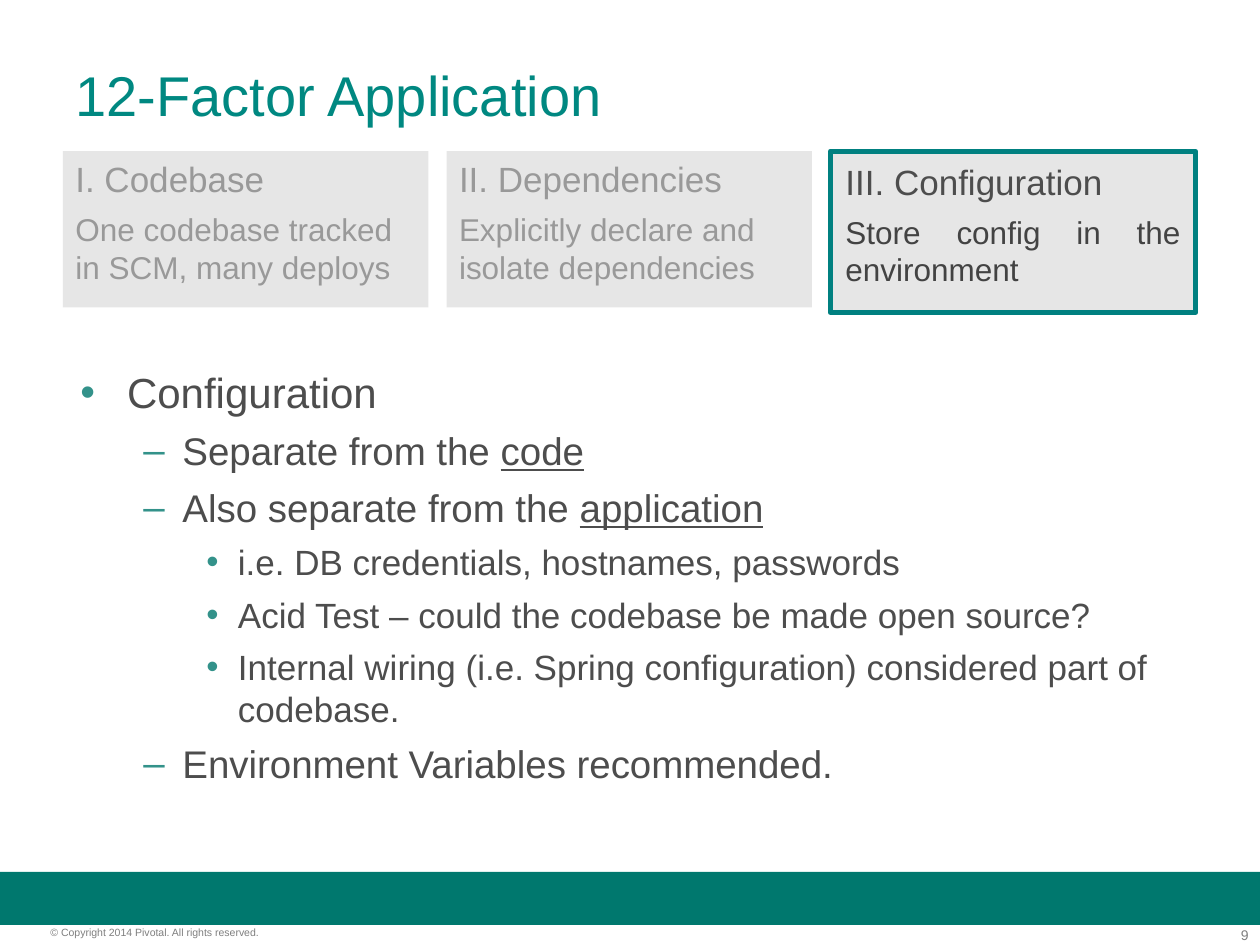
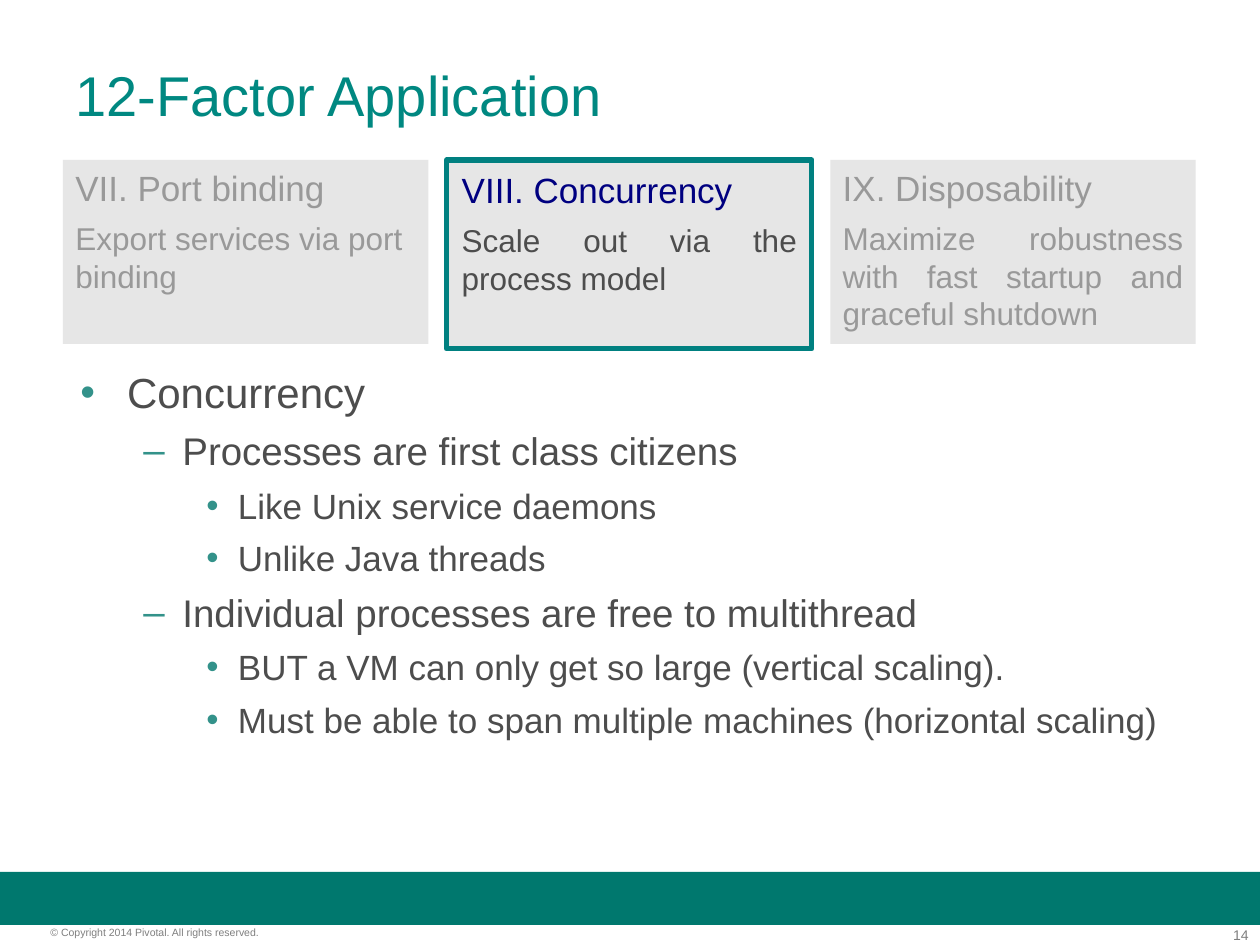
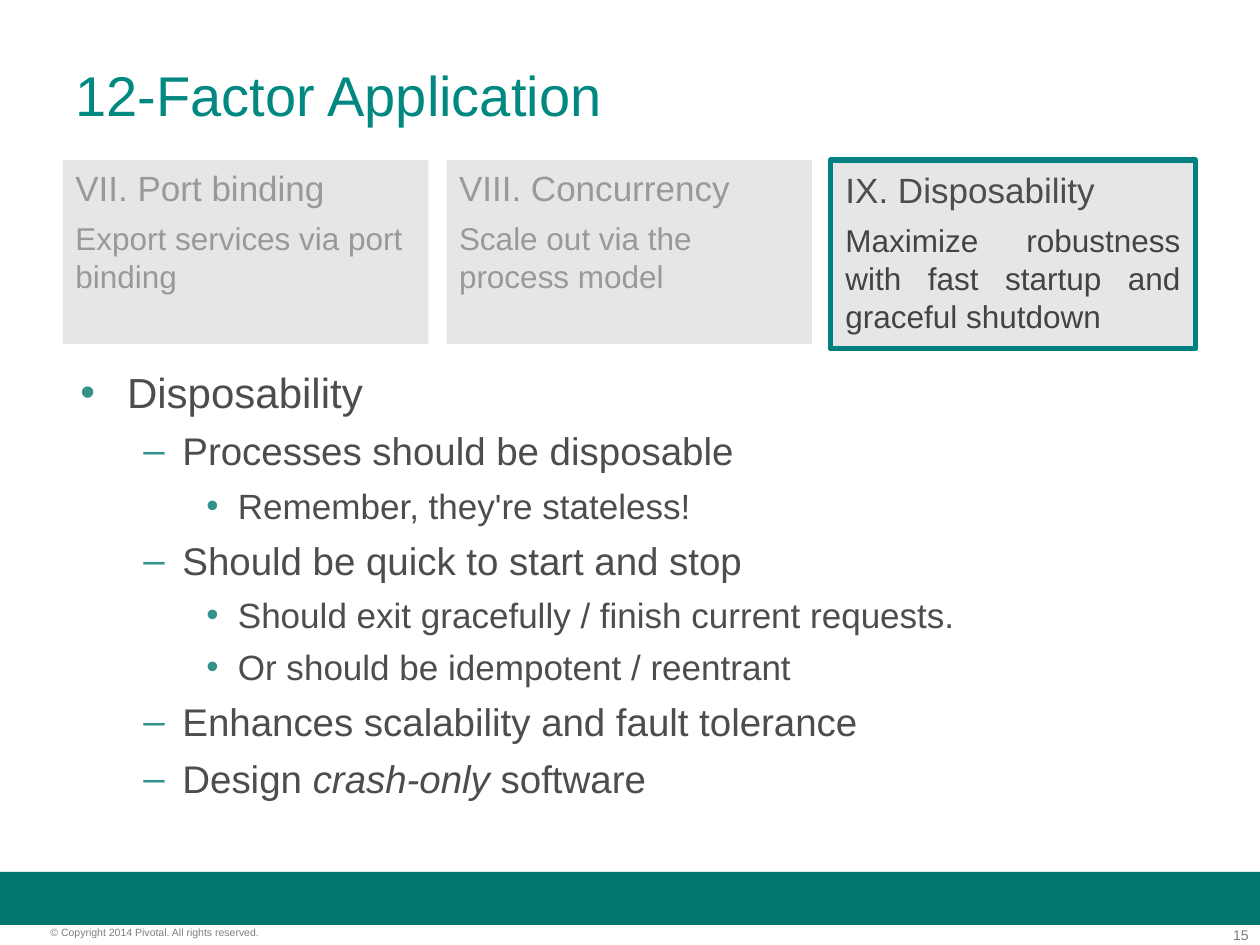
"""Build three slides on the factors of a 12-factor application."""
import dataclasses

import lxml.etree
import pptx
import pptx.dml.color
import pptx.enum.shapes
import pptx.enum.text
import pptx.oxml.ns
import pptx.util

Inches = pptx.util.Inches
Pt = pptx.util.Pt
ALIGN = pptx.enum.text.PP_ALIGN
RECTANGLE = pptx.enum.shapes.MSO_SHAPE.RECTANGLE


@dataclasses.dataclass(frozen=True)
class Theme:
    font: str = "Arial"
    title: str = "008881"
    band: str = "00786E"
    bullet: str = "33928A"
    text: str = "4D4D4D"
    strong: str = "434343"
    navy: str = "000080"
    muted: str = "999999"
    footer: str = "7F7F7F"
    card: str = "E6E6E6"
    border: str = "008080"
    title_size: float = 32
    card_sizes: tuple = (20, 18)
    level_sizes: tuple = (24, 22, 20)
    number_size: float = 8
    copyright_size: float = 6
    border_width: float = 2.89
    space_before: float = 6


THEME = Theme()
LEVELS = [("•", 0.37, 0.37), ("–", 0.81, 0.31), ("•", 1.25, 0.25)]
CARD_LEFT, LAST_CARD_LEFT, CARD_WIDTH = 0.5, 6.59, 2.9
CARD_PITCH = (LAST_CARD_LEFT - CARD_LEFT) / 2
BORDER_PAD = 0.02

PORT_BINDING = ("VII. Port binding", "Export services via port binding", ALIGN.LEFT)
CONCURRENCY = ("VIII. Concurrency", "Scale out via the process model")
DISPOSABILITY = (
    "IX. Disposability",
    "Maximize robustness with fast startup and graceful shutdown",
    ALIGN.JUSTIFY,
)

FACTOR_SLIDES = [
    {
        "number": "9",
        "card_top": 1.2,
        "card_height": 1.24,
        "cards": [
            ("I. Codebase", "One codebase tracked in SCM, many deploys", ALIGN.LEFT),
            ("II. Dependencies", "Explicitly declare and isolate dependencies", ALIGN.LEFT),
            ("III. Configuration", "Store config in the environment", ALIGN.JUSTIFY),
        ],
        "current": 2,
        "current_colors": (THEME.text, THEME.strong),
        "body_height": 3.43,
        "emphasis": "underline",
        "points": [
            (0, "Configuration"),
            (1, "Separate from the ", "code"),
            (1, "Also separate from the ", "application"),
            (2, "i.e. DB credentials, hostnames, passwords"),
            (2, "Acid Test – could the codebase be made open source?"),
            (2, "Internal wiring (i.e. Spring configuration) considered part of codebase."),
            (1, "Environment Variables recommended."),
        ],
    },
    {
        "number": "14",
        "card_top": 1.27,
        "card_height": 1.46,
        "cards": [PORT_BINDING, (*CONCURRENCY, ALIGN.JUSTIFY), DISPOSABILITY],
        "current": 1,
        "current_colors": (THEME.navy, THEME.text),
        "body_height": 3.07,
        "emphasis": "italic",
        "points": [
            (0, "Concurrency"),
            (1, "Processes are first class citizens"),
            (2, "Like Unix service daemons"),
            (2, "Unlike Java threads"),
            (1, "Individual processes are free to multithread"),
            (2, "BUT a VM can only get so large (vertical scaling)."),
            (2, "Must be able to span multiple machines (horizontal scaling)"),
        ],
    },
    {
        "number": "15",
        "card_top": 1.27,
        "card_height": 1.46,
        "cards": [PORT_BINDING, (*CONCURRENCY, ALIGN.LEFT), DISPOSABILITY],
        "current": 2,
        "current_colors": (THEME.text, THEME.strong),
        "body_height": 3.55,
        "emphasis": "italic",
        "points": [
            (0, "Disposability"),
            (1, "Processes should be disposable"),
            (2, "Remember, they're stateless!"),
            (1, "Should be quick to start and stop"),
            (2, "Should exit gracefully / finish current requests."),
            (2, "Or should be idempotent / reentrant"),
            (1, "Enhances scalability and fault tolerance"),
            (1, "Design ", "crash-only", " software"),
        ],
    },
]


def add_panel(slide, box, fill=None, inset=(0.1, 0.05)):
    """Add a filled rectangle, or a text box when there is no fill."""
    bounds = [Inches(length) for length in box]
    if fill:
        panel = slide.shapes.add_shape(RECTANGLE, *bounds)
        panel.shadow.inherit = False
        panel.fill.solid()
        panel.fill.fore_color.rgb = pptx.dml.color.RGBColor.from_string(fill)
        panel.line.fill.background()
    else:
        panel = slide.shapes.add_textbox(*bounds)
    frame = panel.text_frame
    frame.word_wrap = True
    frame.vertical_anchor = pptx.enum.text.MSO_ANCHOR.TOP
    frame.margin_left = frame.margin_right = Inches(inset[0])
    frame.margin_top = frame.margin_bottom = Inches(inset[1])
    return panel


def write(frame, index, texts, size, color, align=ALIGN.LEFT, level=None, emphasis=None):
    """Write one paragraph whose every second run is emphasised."""
    paragraph = frame.add_paragraph() if index else frame.paragraphs[0]
    paragraph.alignment = align
    if index:
        paragraph.space_before = Pt(THEME.space_before)
    if level is not None:
        mark, margin, hanging = LEVELS[level]
        paragraph.level = level
        properties = paragraph._p.get_or_add_pPr()
        properties.set("marL", str(Inches(margin)))
        properties.set("indent", str(-Inches(hanging)))
        qn = pptx.oxml.ns.qn
        bullet_color = lxml.etree.SubElement(properties, qn("a:buClr"))
        lxml.etree.SubElement(bullet_color, qn("a:srgbClr"), val=THEME.bullet)
        lxml.etree.SubElement(properties, qn("a:buFont"), typeface=THEME.font)
        lxml.etree.SubElement(properties, qn("a:buChar"), char=mark)
    paragraph.font.name = THEME.font
    paragraph.font.size = Pt(size)
    paragraph.font.color.rgb = pptx.dml.color.RGBColor.from_string(color)
    for position, text in enumerate(texts):
        run = paragraph.add_run()
        run.text = text
        if position % 2:
            setattr(run.font, emphasis, True)


deck = pptx.Presentation()
deck.slide_width, deck.slide_height = Inches(10), Inches(7.5)

for factor in FACTOR_SLIDES:
    slide = deck.slides.add_slide(deck.slide_layouts[6])

    add_panel(slide, (0, 6.92, 10, 0.42), THEME.band)
    number = add_panel(slide, (9.33, 7.35, 0.58, 0.13), inset=(0, 0))
    write(number.text_frame, 0, [factor["number"]], THEME.number_size, THEME.footer, ALIGN.RIGHT)
    rights = add_panel(slide, (0.4, 7.35, 2.49, 0.1), inset=(0, 0))
    write(rights.text_frame, 0, ["© Copyright 2014 Pivotal. All rights reserved."],
          THEME.copyright_size, THEME.footer)

    title = add_panel(slide, (0.5, 0.3, 9, 0.9))
    title.text_frame.vertical_anchor = pptx.enum.text.MSO_ANCHOR.MIDDLE
    write(title.text_frame, 0, ["12-Factor Application"], THEME.title_size, THEME.title)

    body = add_panel(slide, (0.54, 2.86, 9, factor["body_height"]))
    for index, (level, *texts) in enumerate(factor["points"]):
        write(body.text_frame, index, texts, THEME.level_sizes[level], THEME.text,
              level=level, emphasis=factor["emphasis"])

    for column, (heading, summary, align) in enumerate(factor["cards"]):
        is_current = column == factor["current"]
        pad = BORDER_PAD if is_current else 0
        card = add_panel(
            slide,
            (CARD_LEFT + column * CARD_PITCH, factor["card_top"],
             CARD_WIDTH, factor["card_height"] + 2 * pad),
            THEME.card,
            (0.1 + pad, 0.05 + pad),
        )
        colors = (THEME.muted, THEME.muted)
        if is_current:
            colors = factor["current_colors"]
            card.line.color.rgb = pptx.dml.color.RGBColor.from_string(THEME.border)
            card.line.width = Pt(THEME.border_width)
        for index, text in enumerate((heading, summary)):
            write(card.text_frame, index, [text], THEME.card_sizes[index], colors[index], align)

deck.save("out.pptx")
